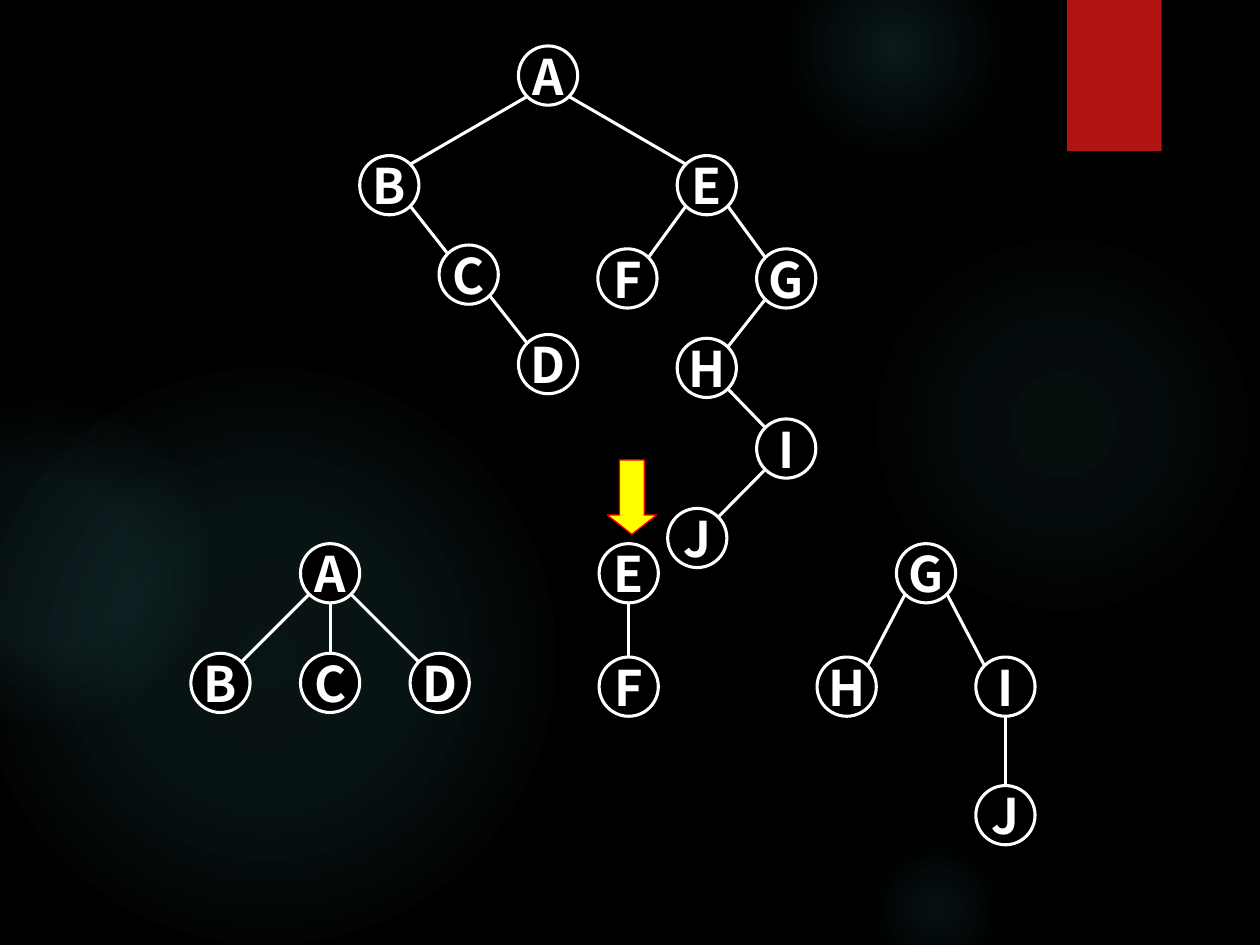
from dataclasses import dataclass
from math import sqrt

from lxml import etree
from pptx import Presentation
from pptx.dml.color import RGBColor
from pptx.enum.shapes import MSO_CONNECTOR, MSO_SHAPE
from pptx.enum.text import MSO_ANCHOR, PP_ALIGN
from pptx.oxml import parse_xml
from pptx.oxml.ns import nsdecls, qn
from pptx.util import Inches, Pt

OVAL, RECTANGLE, DOWN_ARROW = MSO_SHAPE.OVAL, MSO_SHAPE.RECTANGLE, MSO_SHAPE.DOWN_ARROW
STRAIGHT = MSO_CONNECTOR.STRAIGHT
CENTER, MIDDLE = PP_ALIGN.CENTER, MSO_ANCHOR.MIDDLE

COLORS = {
    "background": "000000",
    "ink": "FFFFFF",
    "glow": "50B9C1",
    "ribbon": "B01513",
    "arrow": "FFFF00",
    "arrow_edge": "FF0000",
}
FONT = "Noto Sans CJK SC"
DIAMETER = 0.47
STROKE = 1.75


@dataclass
class Glow:
    left: float
    top: float
    size: float
    stops: tuple[tuple[int, int], ...]  # (position %, opacity %)


@dataclass
class Node:
    label: str
    column: float
    row: int
    parent: str = ""


@dataclass
class Tree:
    """Nodes sit on columns of one width, counted from left, and on listed row centres."""
    left: float
    column_width: float
    rows: tuple[float, ...]
    nodes: tuple[Node, ...]


GLOWS = (
    Glow(6.89, 1.83, 3.08, ((0, 7), (36, 6), (69, 0))),
    Glow(6.22, -0.5, 1.75, ((0, 14), (36, 7), (73, 0))),
    Glow(6.89, 6.67, 1.08, ((0, 9), (36, 5), (66, 0))),
    Glow(-0.17, 2.92, 4.58, ((0, 11), (36, 10), (75, 0))),
    Glow(-0.92, 3.17, 2.58, ((0, 8), (36, 8), (72, 0))),
)

BINARY_TREE = Tree(3.09, 0.63, (0.6, 1.47, 2.18, 2.21, 2.89, 2.92, 3.56, 4.27), (
    Node("A", 2, 0),
    Node("B", 0, 1, "A"),
    Node("C", 1, 2, "B"),
    Node("D", 2, 4, "C"),
    Node("E", 4, 1, "A"),
    Node("F", 3, 3, "E"),
    Node("G", 5, 3, "E"),
    Node("H", 4, 5, "G"),
    Node("I", 5, 6, "H"),
    Node("J", 3.88, 7, "I"),
))
FOREST = (
    Tree(1.75, 0.87, (4.55, 5.42), (
        Node("A", 1, 0), Node("B", 0, 1, "A"), Node("C", 1, 1, "A"), Node("D", 2, 1, "A"),
    )),
    Tree(4.99, 0.63, (4.55, 5.45), (
        Node("E", 0, 0), Node("F", 0, 1, "E"),
    )),
    Tree(6.72, 0.63, (4.55, 5.45, 6.47), (
        Node("G", 1, 0), Node("H", 0, 1, "G"), Node("I", 2, 1, "G"), Node("J", 2, 2, "I"),
    )),
)


def color(name: str) -> RGBColor:
    return RGBColor.from_string(COLORS[name])


def add_shape(page, kind, left: float, top: float, width: float, height: float):
    """Add a preset shape without shadow or outline."""
    shape = page.shapes.add_shape(kind, Inches(left), Inches(top), Inches(width), Inches(height))
    shape.shadow.inherit = False
    shape.line.fill.background()
    return shape


def paint(shape, fill: str, edge: str = "", width: float = 0) -> None:
    shape.fill.solid()
    shape.fill.fore_color.rgb = color(fill)
    if edge:
        shape.line.color.rgb = color(edge)
        shape.line.width = Pt(width)


def draw_glow(page, glow: Glow) -> None:
    shape = add_shape(page, OVAL, glow.left, glow.top, glow.size, glow.size)
    stops = "".join(
        f'<a:gs pos="{position * 1000}"><a:srgbClr val="{COLORS["glow"]}">'
        f'<a:alpha val="{opacity * 1000}"/></a:srgbClr></a:gs>'
        for position, opacity in glow.stops
    )
    gradient = parse_xml(
        f'<a:gradFill {nsdecls("a")} rotWithShape="1"><a:gsLst>{stops}</a:gsLst>'
        '<a:path path="circle"><a:fillToRect l="50000" t="50000" r="50000" b="50000"/></a:path>'
        '</a:gradFill>'
    )
    shape._element.spPr.find(qn("a:prstGeom")).addnext(gradient)


def draw_edge(page, parent: tuple[float, float], child: tuple[float, float]) -> None:
    """Join two circles at their bottom and top, or at their facing diagonal points."""
    radius = DIAMETER / 2
    side = (child[0] > parent[0]) - (child[0] < parent[0])
    rise = radius / sqrt(2) if side else radius
    shift = side * rise
    line = page.shapes.add_connector(
        STRAIGHT,
        Inches(parent[0] + shift), Inches(parent[1] + rise),
        Inches(child[0] - shift), Inches(child[1] - rise),
    )
    line.line.color.rgb = color("ink")
    line.line.width = Pt(STROKE)
    etree.SubElement(line._element.spPr, qn("a:effectLst"))


def draw_node(page, label: str, center: tuple[float, float]) -> None:
    circle = add_shape(page, OVAL, center[0] - DIAMETER / 2, center[1] - DIAMETER / 2,
                       DIAMETER, DIAMETER)
    paint(circle, "background", "ink", STROKE)
    frame = circle.text_frame
    frame.word_wrap = False
    frame.vertical_anchor = MIDDLE
    para = frame.paragraphs[0]
    para.text = label
    para.alignment = CENTER
    para.font.name = FONT
    para.font.size = Pt(28)
    para.font.bold = True
    para.font.color.rgb = color("ink")
    properties = para._p.pPr.find(qn("a:defRPr"))
    etree.SubElement(properties, qn("a:ea"), typeface=FONT)


def draw_tree(page, tree: Tree) -> None:
    centers = {
        node.label: (tree.left + node.column * tree.column_width, tree.rows[node.row])
        for node in tree.nodes
    }
    for node in tree.nodes:
        draw_node(page, node.label, centers[node.label])
        if node.parent:
            draw_edge(page, centers[node.parent], centers[node.label])


def main() -> None:
    deck = Presentation()
    deck.slide_width, deck.slide_height = Inches(10), Inches(7.5)
    page = deck.slides.add_slide(deck.slide_layouts[6])
    page.background.fill.solid()
    page.background.fill.fore_color.rgb = color("background")

    for glow in GLOWS:
        draw_glow(page, glow)
    paint(add_shape(page, RECTANGLE, 8.47, 0, 0.75, 1.2), "ribbon")

    for tree in (BINARY_TREE, *FOREST):
        draw_tree(page, tree)

    arrow = add_shape(page, DOWN_ARROW, 4.82, 3.65, 0.39, 0.59)
    arrow.adjustments[0] = 0.5
    arrow.adjustments[1] = 0.39
    paint(arrow, "arrow", "arrow_edge", 0.75)
    deck.save("out.pptx")


if __name__ == "__main__":
    main()
